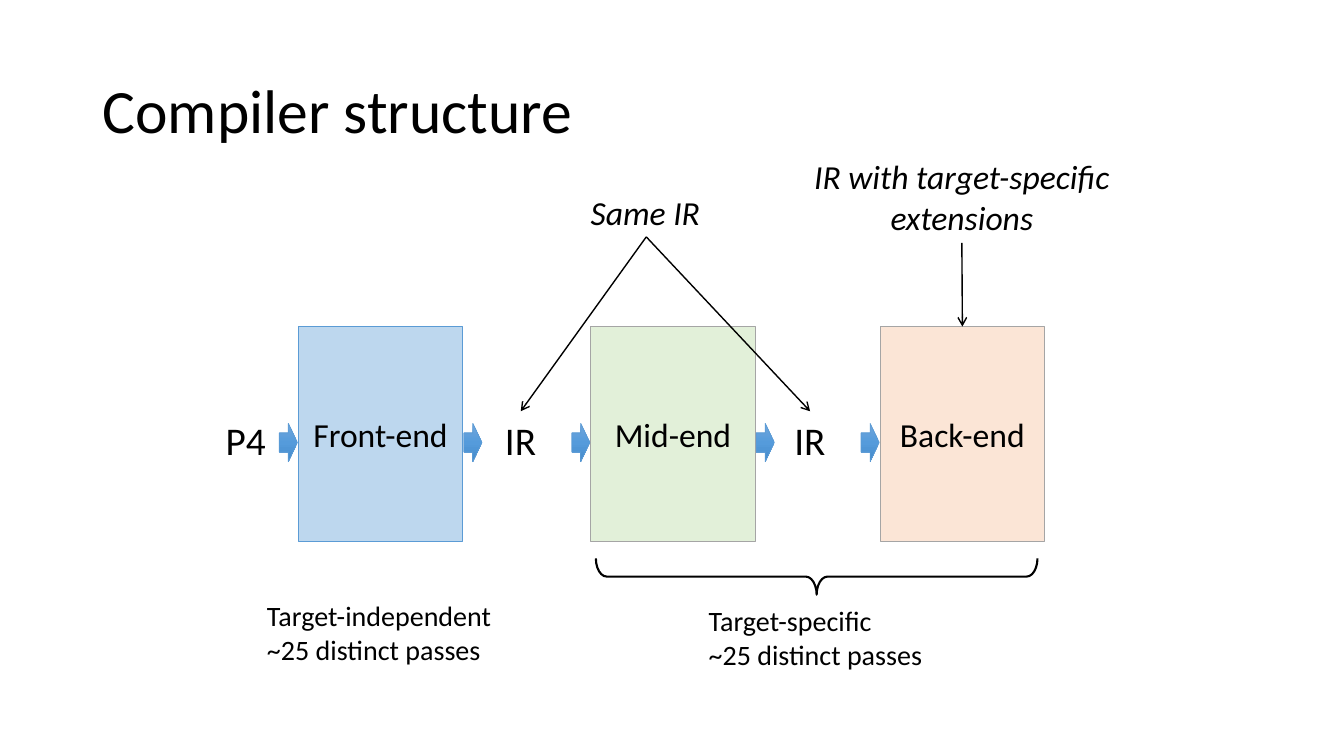
from copy import deepcopy
from lxml import etree
from pptx import Presentation
from pptx.dml.color import RGBColor
from pptx.enum import shapes, text
from pptx.oxml import ns
from pptx.util import Inches, Pt

STAGES = [
    ("Front-end", 2.96, "BDD7EE", "5B9BD5"),
    ("Mid-end", 5.86, "E2F0D9", "A5A5A5"),
    ("Back-end", 8.73, "FBE5D6", "A5A5A5"),
]
STAGE_TOP, STAGE_W, STAGE_H = 3.24, 1.63, 2.13
ARROW_TOP, ARROW_W, ARROW_H = 4.2, 0.18, 0.38
ARROW_GRADIENT = [(0, "71A6DB"), (0.5, "559BDB"), (1, "448ACA")]
LABELS = {
    "title": (["Compiler structure"], (0.92, 0.4, 11.5, 1.45),
              dict(size=44, anchor="MIDDLE", wrap=True, spacing=0.9)),
    "source": (["P4"], (2.14, 4.08, 0.6, 0.57), dict(size=28)),
    "first IR": (["IR"], (4.91, 4.08, 0.51, 0.57), dict(size=28)),
    "second IR": (["IR"], (7.78, 4.08, 0.51, 0.57), dict(size=28)),
    "specific": (["Target-specific", "~25 distinct passes"],
                 (6.93, 5.94, 2.35, 0.77), dict(size=20)),
    "independent": (["Target-independent", "~25 distinct passes"],
                    (2.55, 5.89, 2.46, 0.77), dict(size=20)),
    "same": (["Same IR"], (5.76, 1.85, 1.3, 0.5), dict(italic=True)),
    "extended": (["IR with target-specific", "extensions"],
                 (7.96, 1.5, 3.16, 0.91), dict(italic=True, align="CENTER")),
}
POINTERS = [("same", "first IR"), ("same", "second IR"), ("extended", "Back-end")]


def rgb(value):
    return RGBColor.from_string(value)


def write(sp, lines, size=24, italic=False, align="LEFT", anchor="TOP", wrap=False, spacing=None):
    tf = sp.text_frame
    tf.word_wrap = wrap
    tf.auto_size = text.MSO_AUTO_SIZE.NONE if wrap else text.MSO_AUTO_SIZE.SHAPE_TO_FIT_TEXT
    tf.vertical_anchor = text.MSO_ANCHOR[anchor]
    for i, line in enumerate(lines):
        p = tf.add_paragraph() if i else tf.paragraphs[0]
        p.alignment = text.PP_ALIGN[align]
        p.line_spacing = spacing
        r = p.add_run()
        r.text = line
        r.font.name, r.font.size, r.font.italic = "Calibri", Pt(size), italic
        r.font.color.rgb = rgb("000000")


def add_shape(s, kind, box, line, width, fill=None):
    sp = s.shapes.add_shape(shapes.MSO_SHAPE[kind], *map(Inches, box))
    sp.shadow.inherit = False
    sp.line.color.rgb, sp.line.width = rgb(line), Pt(width)
    if fill:
        sp.fill.solid()
        sp.fill.fore_color.rgb = rgb(fill)
    else:
        sp.fill.background()
    return sp


def add_flow_arrow(s, left):
    sp = add_shape(s, "RIGHT_ARROW", (left, ARROW_TOP, ARROW_W, ARROW_H), "5B9BD5", 0.5)
    sp.fill.gradient()
    sp.fill.gradient_angle = 270
    stops = sp._element.spPr.find(ns.qn("a:gradFill")).find(ns.qn("a:gsLst"))
    stops.insert(1, deepcopy(stops[0]))
    for stop, (position, color) in zip(sp.fill.gradient_stops, ARROW_GRADIENT):
        stop.position = position
        stop.color.rgb = rgb(color)


def add_pointer(s, start, end):
    c = s.shapes.add_connector(shapes.MSO_CONNECTOR.STRAIGHT, 0, 0, 0, 0)
    c.begin_connect(start, 2)
    c.end_connect(end, 0)
    c.line.color.rgb, c.line.width = rgb("000000"), Pt(1)
    etree.SubElement(c.line._get_or_add_ln(), ns.qn("a:tailEnd"), type="arrow")
    etree.SubElement(c._element.spPr, ns.qn("a:effectLst"))


def main():
    prs = Presentation()
    prs.slide_width, prs.slide_height = Inches(13.33), Inches(7.5)
    s = prs.slides.add_slide(prs.slide_layouts[6])
    parts = {}
    for name, left, fill, line in STAGES:
        box = (left, STAGE_TOP, STAGE_W, STAGE_H)
        parts[name] = add_shape(s, "RECTANGLE", box, line, 0.5, fill)
        write(parts[name], [name], align="CENTER", anchor="MIDDLE", wrap=True)
    for name, (lines, box, style) in LABELS.items():
        parts[name] = s.shapes.add_textbox(*map(Inches, box))
        write(parts[name], lines, **style)
    lefts = [left for _, left, _, _ in STAGES]
    for left in lefts:
        add_flow_arrow(s, left - ARROW_W - 0.01)
    for left in lefts[:-1]:
        add_flow_arrow(s, left + STAGE_W + 0.01)
    brace = add_shape(s, "LEFT_BRACE", (7.92, 3.53, 0.36, 4.38), "000000", 1.5)
    brace.rotation = 270
    brace.adjustments[0] = 0.3
    for start, end in POINTERS:
        add_pointer(s, parts[start], parts[end])
    prs.save("out.pptx")


if __name__ == "__main__":
    main()
